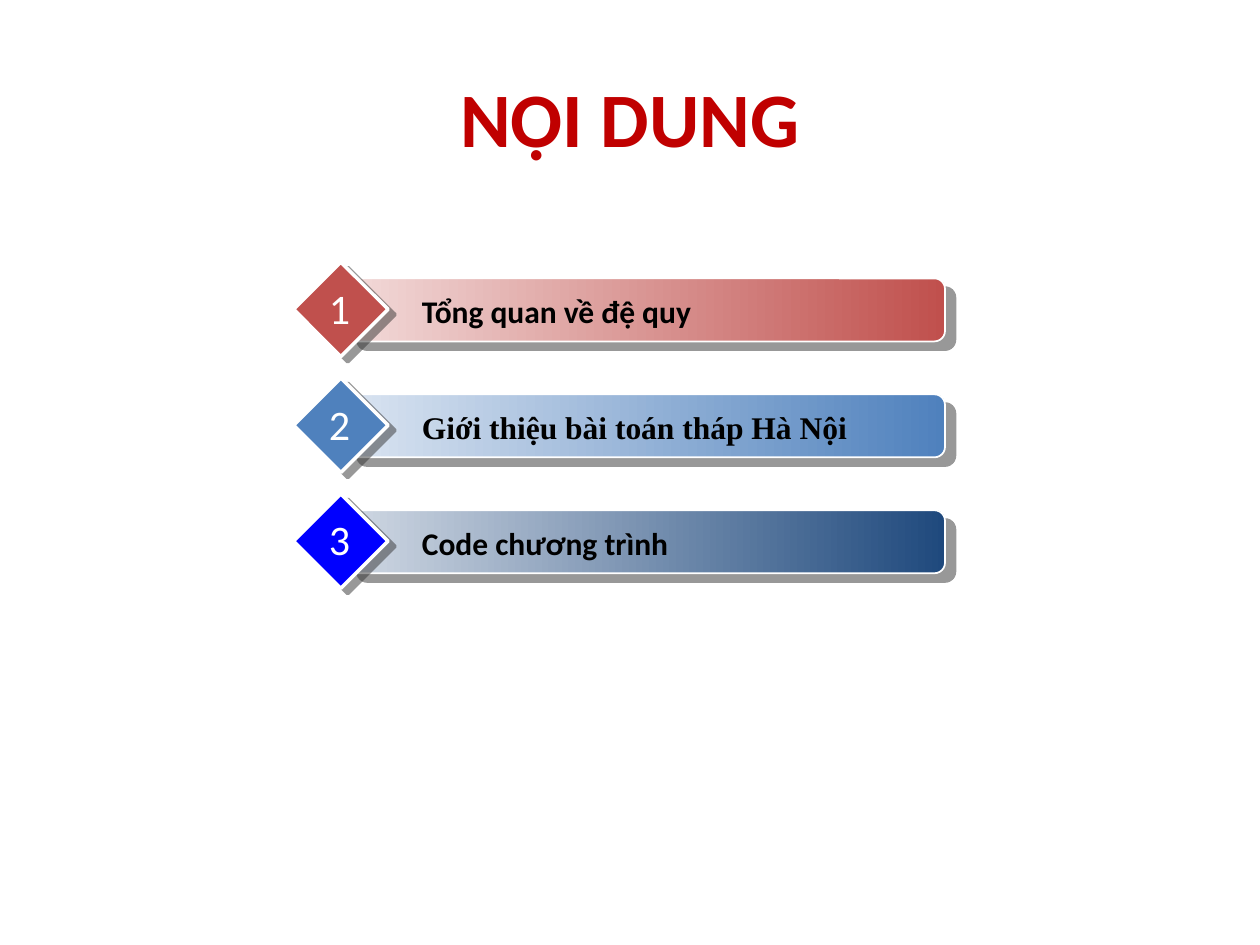
from lxml import etree
from pptx import Presentation
from pptx.dml.color import RGBColor
from pptx.enum import shapes, text
from pptx.oxml.ns import qn
from pptx.util import Inches, Pt

# Content: number, topic, font, badge colour, bar gradient
HEADING = "NỘI DUNG"
TOPICS = [
    ("1", "Tổng quan về đệ quy", "Calibri", "C0504D", ("F2DAD9", "C0504D")),
    ("2", "Giới thiệu bài toán tháp Hà Nội", "Times New Roman", "4F81BD", ("DAE4F1", "4F81BD")),
    ("3", "Code chương trình", "Calibri", "0000FF", ("D0D8E3", "1F497D")),
]

THEME = {
    "font": "Calibri",
    "heading": "C00000", "topic": "000000", "number": "FFFFFF",
    "outline": "FFFFFF", "shadow": "333333",
    "heading_size": 44, "topic_size": 18, "number_size": 24,
}

# Layout in inches: first row's top and the step between rows
FIRST_TOP, ROW_STEP = 2.08, 0.92


def rgb(value):
    return RGBColor.from_string(value)


def box(left, top, width, height):
    return [Inches(n) for n in (left, top, width, height)]


def write(frame, words, size, color, font=THEME["font"], bold=False,
          align=text.PP_ALIGN.LEFT, anchor=text.MSO_ANCHOR.TOP, wrap=True):
    frame.word_wrap = wrap
    frame.vertical_anchor = anchor
    paragraph = frame.paragraphs[0]
    paragraph.alignment = align
    run = paragraph.add_run()
    run.text = words
    run.font.name = font
    run.font.size = Pt(size)
    run.font.bold = bold
    run.font.color.rgb = rgb(color)


def add_label(group, place, words, size, color, **style):
    label = group.shapes.add_textbox(*box(*place))
    write(label.text_frame, words, size, color, **style)
    label.text_frame.auto_size = text.MSO_AUTO_SIZE.SHAPE_TO_FIT_TEXT


def outline_and_shadow(shape, line_width, distance, angle):
    shape.line.color.rgb = rgb(THEME["outline"])
    shape.line.width = Pt(line_width)
    shape.shadow.inherit = False
    effects = shape._element.spPr.find(qn("a:effectLst"))
    shadow = etree.SubElement(effects, qn("a:outerShdw"), blurRad="0",
                              dist=str(Pt(distance)), dir=str(angle * 60000),
                              algn="ctr", rotWithShape="0")
    color = etree.SubElement(shadow, qn("a:srgbClr"), val=THEME["shadow"])
    etree.SubElement(color, qn("a:alpha"), val="50000")


def add_topic(slide, top, number, topic, font, badge_color, gradient):
    group = slide.shapes.add_group_shape()

    # Gradient bar
    bar = group.shapes.add_shape(shapes.MSO_SHAPE.ROUNDED_RECTANGLE,
                                 *box(2.75, top + 0.13, 4.75, 0.5))
    bar.fill.gradient()
    bar.fill.gradient_angle = 0
    for stop, color in zip(bar.fill.gradient_stops, gradient):
        stop.color.rgb = rgb(color)
    outline_and_shadow(bar, 1, 7.8, 40)

    # Diamond badge
    badge = group.shapes.add_shape(shapes.MSO_SHAPE.DIAMOND,
                                   *box(2.33, top, 0.75, 0.75))
    badge.fill.solid()
    badge.fill.fore_color.rgb = rgb(badge_color)
    outline_and_shadow(badge, 2, 5, 37)

    # Topic and number
    add_label(group, (3.25, top + 0.19, 4.25, 0.4), topic,
              THEME["topic_size"], THEME["topic"], font=font, bold=True)
    add_label(group, (2.51, top + 0.11, 0.37, 0.5), number,
              THEME["number_size"], THEME["number"],
              align=text.PP_ALIGN.CENTER, wrap=False)


def main():
    deck = Presentation()
    deck.slide_width, deck.slide_height = Inches(10), Inches(7.5)
    slide = deck.slides.add_slide(deck.slide_layouts[5])

    # Heading
    heading = slide.shapes.title
    heading.left, heading.top, heading.width, heading.height = box(0.5, 0.3, 9, 1.25)
    write(heading.text_frame, HEADING, THEME["heading_size"], THEME["heading"],
          bold=True, align=text.PP_ALIGN.CENTER, anchor=text.MSO_ANCHOR.MIDDLE)

    # Topic rows
    for row, topic in enumerate(TOPICS):
        add_topic(slide, FIRST_TOP + row * ROW_STEP, *topic)

    deck.save("out.pptx")


if __name__ == "__main__":
    main()
